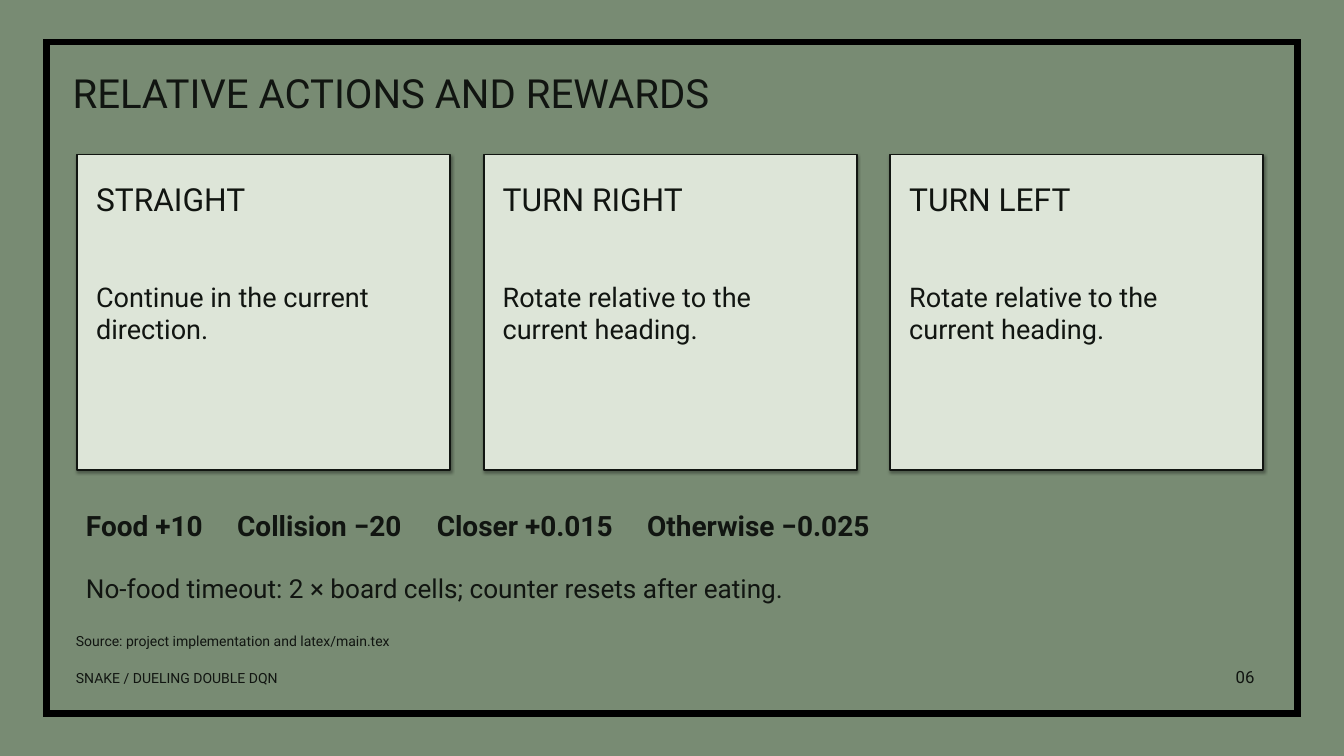
from lxml import etree
from pptx import Presentation
from pptx import util as u
from pptx.dml.color import RGBColor
from pptx.enum import shapes, text
from pptx.oxml import ns, parse_xml

THEME = {
    "font": "Roboto",
    "bg": RGBColor(0x78, 0x8B, 0x73),
    "card": RGBColor(0xDD, 0xE5, 0xD8),
    "ink": RGBColor(0x11, 0x15, 0x11),
    "frame": RGBColor(0, 0, 0),
    "title": 43, "heading": 34, "reward": 30, "body": 29, "note": 28,
    "page": 18, "small": 15,
}

prs = Presentation()
prs.slide_width, prs.slide_height = u.Inches(20), u.Inches(11.25)
CELL = prs.slide_width / 200

s = prs.slides.add_slide(prs.slide_layouts[5])
s.background.fill.solid()
s.background.fill.fore_color.rgb = THEME["bg"]


def grid(*cells):
    return [u.Emu(round(c * CELL)) for c in cells]


def write(sp, box, words, size, bold=False, align=text.PP_ALIGN.LEFT, tabs=()):
    sp.left, sp.top, sp.width, sp.height = grid(*box)
    tf = sp.text_frame
    tf.word_wrap = True
    tf.auto_size = text.MSO_AUTO_SIZE.SHAPE_TO_FIT_TEXT
    tf.vertical_anchor = text.MSO_ANCHOR.TOP
    tf.margin_left = tf.margin_right = u.Inches(0.03)
    tf.margin_top = tf.margin_bottom = u.Inches(0.02)
    p = tf.paragraphs[0]
    p.alignment = align
    p.space_before, p.space_after = u.Pt(0), u.Pt(12)
    if tabs:
        stops = etree.SubElement(p._p.get_or_add_pPr(), ns.qn("a:tabLst"))
        for stop in grid(*tabs):
            etree.SubElement(stops, ns.qn("a:tab"), pos=str(stop), algn="l")
    r = p.add_run()
    r.text = words
    r.font.name, r.font.size, r.font.bold = THEME["font"], u.Pt(THEME[size]), bold
    r.font.color.rgb = THEME["ink"]


frame = s.shapes.add_shape(shapes.MSO_SHAPE.RECTANGLE, *grid(6.9, 6.3, 186.2, 99.9))
frame.shadow.inherit = False
frame.fill.background()
frame.line.color.rgb = THEME["frame"]
frame.line.width = u.Pt(6.75)
etree.SubElement(frame._element.spPr.find(ns.qn("a:ln")), ns.qn("a:miter"), lim="800000")

write(s.shapes.title, (10.5, 10, 178, 8), "RELATIVE ACTIONS AND REWARDS", "title")

SHADOW = (
    f'<a:outerShdw {ns.nsdecls("a")} blurRad="{u.Pt(3.1)}" dist="{u.Pt(1.8)}" '
    'dir="5400000" rotWithShape="0"><a:srgbClr val="000000">'
    '<a:alpha val="35000"/></a:srgbClr></a:outerShdw>'
)
CARDS = [
    ("STRAIGHT", "Continue in the current direction."),
    ("TURN RIGHT", "Rotate relative to the current heading."),
    ("TURN LEFT", "Rotate relative to the current heading."),
]
CARD_W, GAP, PAD = 55.5, 5, 2.5
for i, (heading, body) in enumerate(CARDS):
    x = 11.5 + i * (CARD_W + GAP)
    card = s.shapes.add_shape(shapes.MSO_SHAPE.RECTANGLE, *grid(x, 23, CARD_W, 47))
    card.shadow.inherit = False
    card._element.spPr.find(ns.qn("a:effectLst")).append(parse_xml(SHADOW))
    card.fill.solid()
    card.fill.fore_color.rgb = THEME["card"]
    card.line.color.rgb = THEME["ink"]
    card.line.width = u.Pt(2)
    for y, h, words, size in [(26.5, 12, heading, "heading"), (41.5, 25, body, "body")]:
        write(s.shapes.add_textbox(0, 0, 0, 0), (x + PAD, y, CARD_W - 2 * PAD, h), words, size)

REWARDS = ["Food +10", "Collision −20", "Closer +0.015", "Otherwise −0.025"]
write(s.shapes.add_textbox(0, 0, 0, 0), (12.5, 75.5, 175, 8), "\t".join(REWARDS),
      "reward", bold=True, tabs=(22.5, 52.2, 83.5))

LINES = [
    ((12.5, 85, 175, 6), "No-food timeout: 2 × board cells; counter resets after eating.",
     "note", text.PP_ALIGN.LEFT),
    ((11, 94, 176, 4), "Source: project implementation and latex/main.tex",
     "small", text.PP_ALIGN.LEFT),
    ((11, 99.5, 130, 3.5), "SNAKE / DUELING DOUBLE DQN", "small", text.PP_ALIGN.LEFT),
    ((177, 99, 10, 4), "06", "page", text.PP_ALIGN.RIGHT),
]
for box, words, size, align in LINES:
    write(s.shapes.add_textbox(0, 0, 0, 0), box, words, size, align=align)

prs.save("out.pptx")
